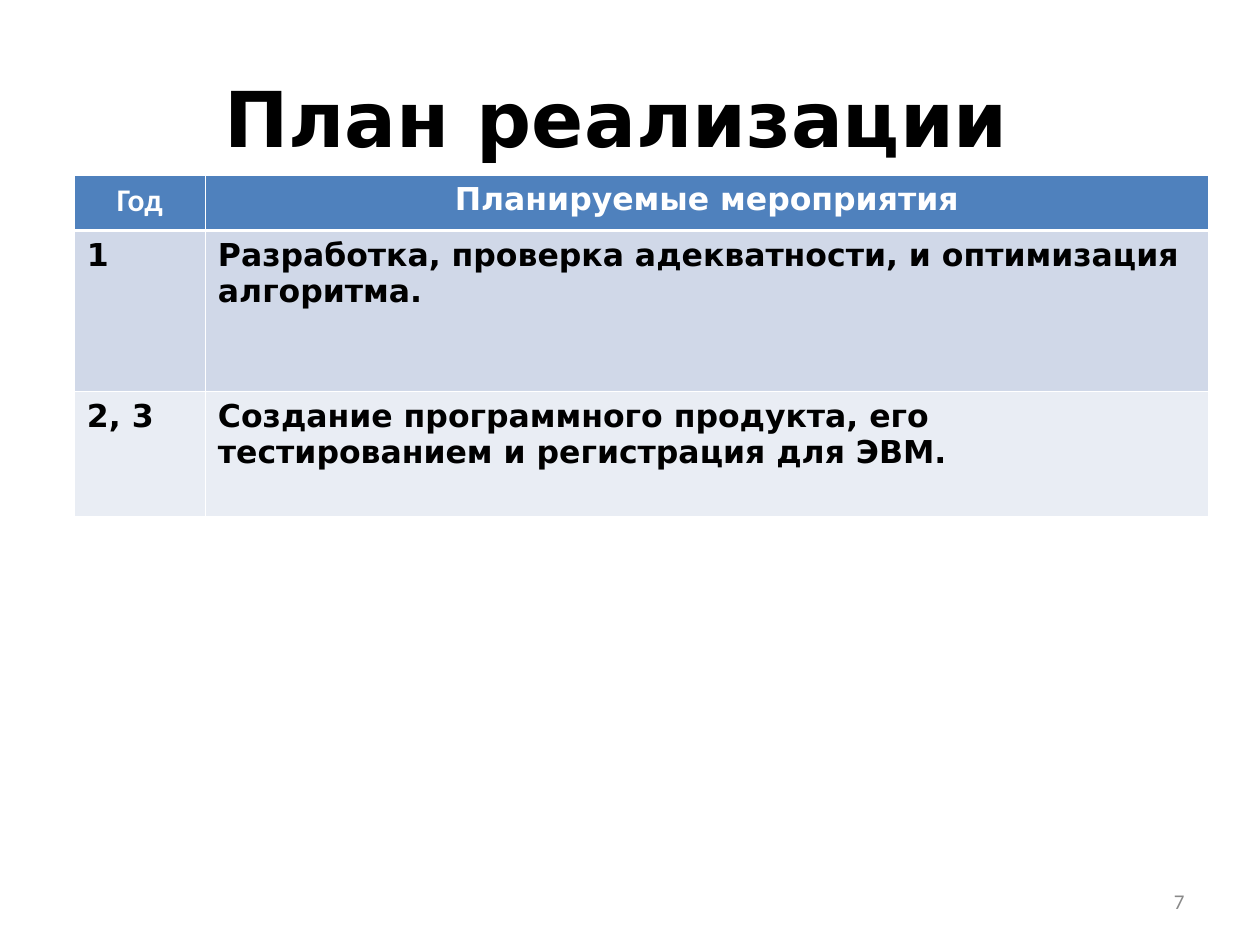
from dataclasses import dataclass

from lxml import etree
from pptx import Presentation
from pptx.dml.color import RGBColor
from pptx.enum.text import MSO_ANCHOR, PP_ALIGN
from pptx.oxml.ns import qn
from pptx.util import Inches, Pt

LEFT, CENTER, RIGHT = PP_ALIGN.LEFT, PP_ALIGN.CENTER, PP_ALIGN.RIGHT
MIDDLE = MSO_ANCHOR.MIDDLE


@dataclass(frozen=True)
class Theme:
    """Colours, fonts, type sizes and line widths."""
    black: str = "000000"
    white: str = "FFFFFF"
    gray: str = "898989"
    head: str = "4F81BD"
    bands: tuple = ("D0D8E8", "E9EDF4")
    main: str = "DejaVu Sans"
    plain: str = "Calibri"
    title: int = 44
    body: int = 18
    note: int = 12
    thin: float = 0.45
    thick: float = 1.47


class Deck:
    """Draws elements on the current slide in one theme."""

    def __init__(self, theme, prs):
        """Keep the theme and add a blank slide."""
        self.theme = theme
        self.slide = prs.slides.add_slide(prs.slide_layouts[6])

    def label(self, frame, text, size, font, color, align, bold=True):
        """Put one styled run into a text frame."""
        para = frame.paragraphs[0]
        para.alignment = align
        run = para.add_run()
        run.text = text
        run.font.size = Pt(size)
        run.font.name = font
        run.font.bold = bold
        run.font.color.rgb = RGBColor.from_string(color)

    def text(self, box, *style, **more):
        """Add a wrapped text box, centred vertically."""
        frame = self.slide.shapes.add_textbox(*map(Inches, box)).text_frame
        frame.word_wrap = True
        frame.vertical_anchor = MIDDLE
        self.label(frame, *style, **more)

    def border(self, cell, side, width):
        """Draw one white edge of a cell."""
        props = cell._tc.get_or_add_tcPr()
        line = etree.SubElement(props, qn(f"a:ln{side}"), w=str(int(Pt(width))))
        fill = etree.SubElement(line, qn("a:solidFill"))
        etree.SubElement(fill, qn("a:srgbClr"), val=self.theme.white)

    def cell(self, cell, text, row, font):
        """Style and fill one table cell."""
        look = self.theme
        head = row == 0
        heavy = {(0, "B"), (1, "T")}
        for side in "LRTB":
            self.border(cell, side, look.thick if (row, side) in heavy else look.thin)
        cell.fill.solid()
        shade = look.head if head else look.bands[(row - 1) % 2]
        cell.fill.fore_color.rgb = RGBColor.from_string(shade)
        self.label(cell.text_frame, text, look.body, font,
                   look.white if head else look.black, CENTER if head else LEFT)

    def table(self, left, top, cols, rows, data):
        """Add a table with a header row and shaded bands."""
        box = map(Inches, (left, top, sum(cols), sum(rows)))
        grid = self.slide.shapes.add_table(len(rows), len(cols), *box).table
        for col, width in zip(grid.columns, cols):
            col.width = Inches(width)
        for row, height in zip(grid.rows, rows):
            row.height = Inches(height)
        for r, line in enumerate(data):
            for c, text in enumerate(line):
                font = self.theme.plain if r == c == 0 else self.theme.main
                self.cell(grid.cell(r, c), text, r, font)


def main():
    """Build and save the plan slide."""
    prs = Presentation()
    prs.slide_width, prs.slide_height = Inches(10), Inches(7.5)
    look = Theme()
    deck = Deck(look, prs)
    deck.text((0.5, 0.3, 9, 1.25), "План реализации ",
              look.title, look.main, look.black, CENTER)
    deck.table(0.59, 1.39, (1.04, 7.96), (0.44, 1.28, 0.99), (
        ("Год", "Планируемые мероприятия"),
        ("1", "Разработка, проверка адекватности, и оптимизация алгоритма."),
        ("2, 3", "Создание программного продукта, его тестированием "
                 "и регистрация для ЭВМ."),
    ))
    deck.text((7.17, 6.95, 2.33, 0.4), "7",
              look.note, look.plain, look.gray, RIGHT, bold=False)
    prs.save("out.pptx")


if __name__ == "__main__":
    main()
